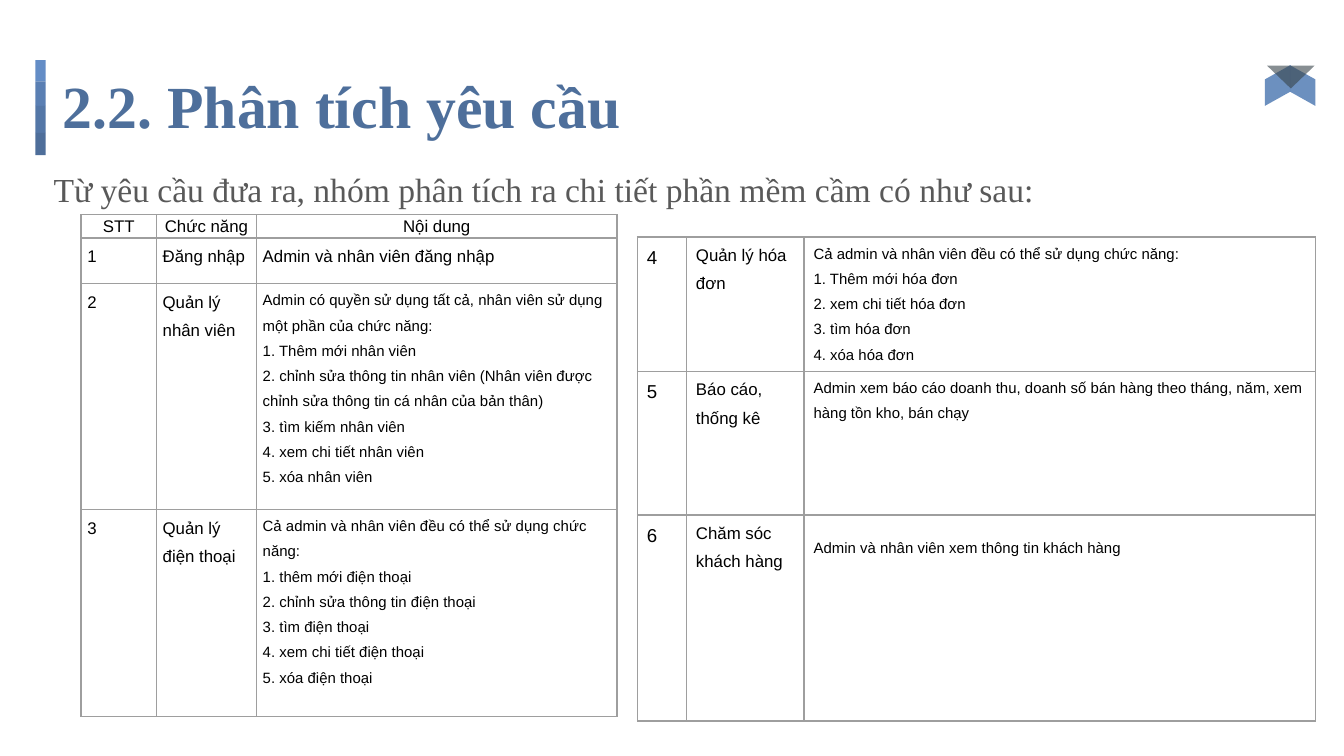
from lxml.etree import SubElement
from pptx import Presentation
from pptx.dml.color import RGBColor
from pptx.enum.shapes import MSO_SHAPE
from pptx.enum.text import PP_ALIGN
from pptx.oxml.ns import qn
from pptx.util import Pt

TITLE_BLUE = RGBColor(0x4E, 0x6F, 0x9B)
GREY = RGBColor(0x59, 0x59, 0x59)
BLACK = RGBColor(0, 0, 0)
BORDER = RGBColor(0x9E, 0x9E, 0x9E)
WING = RGBColor(0x5E, 0x85, 0xB9)
FOLD = RGBColor(0x38, 0x44, 0x4A)

TITLE = "2.2. Phân tích yêu cầu"
INTRO = "Từ yêu cầu đưa ra, nhóm phân tích ra chi tiết phần mềm cầm có như sau:"

# Accent bar segments, top to bottom: height, colour
BAR_SEGMENTS = [
    (11.4, RGBColor(0x64, 0x8D, 0xC6)),
    (13.2, RGBColor(0x5A, 0x7F, 0xB3)),
    (14.4, RGBColor(0x54, 0x77, 0xA7)),
    (12, RGBColor(0x4E, 0x6E, 0x9A)),
]

# Each cell is a list of paragraphs
STAFF_TABLE = {
    "origin": (43.4, 115), "columns": (40.4, 53.6, 193.2),
    "rows": (12, 24.6, 121, 111), "margin": 3.4, "sizes": (9, 9, 8),
    "header": True, "lead": {}, "large": {(1, 2): 9},
    "cells": [
        [["STT"], ["Chức năng"], ["Nội dung"]],
        [["1"], ["Đăng nhập"], ["Admin và nhân viên đăng nhập"]],
        [["2"], ["Quản lý nhân viên"], [
            "Admin có quyền sử dụng tất cả, nhân viên sử dụng một phần của chức năng:",
            "1. Thêm mới nhân viên",
            "2. chỉnh sửa thông tin nhân viên (Nhân viên được chỉnh sửa "
            "thông tin cá nhân của bản thân)",
            "3. tìm kiếm nhân viên",
            "4. xem chi tiết nhân viên",
            "5. xóa nhân viên"]],
        [["3"], ["Quản lý điện thoại"], [
            "Cả admin và nhân viên đều có thể sử dụng chức năng:",
            "1. thêm mới điện thoại",
            "2. chỉnh sửa thông tin điện thoại",
            "3. tìm điện thoại",
            "4. xem chi tiết điện thoại",
            "5. xóa điện thoại"]],
    ],
}
INVOICE_TABLE = {
    "origin": (341.5, 127), "columns": (26.3, 63, 274),
    "rows": (68.8, 77, 110.4), "margin": 5.1, "sizes": (10, 9, 8),
    "header": False, "lead": {(2, 2): 8.6}, "large": {},
    "cells": [
        [["4"], ["Quản lý hóa đơn"], [
            "Cả admin và nhân viên đều có thể sử dụng chức năng:",
            "1. Thêm mới hóa đơn",
            "2. xem chi tiết hóa đơn",
            "3. tìm hóa đơn",
            "4. xóa hóa đơn"]],
        [["5"], ["Báo cáo, thống kê"], [
            "Admin xem báo cáo doanh thu, doanh số bán hàng theo tháng, năm, "
            "xem hàng tồn kho, bán chạy"]],
        [["6"], ["Chăm sóc khách hàng"], ["Admin và nhân viên xem thông tin khách hàng"]],
    ],
}


def add_span(para, text, font, size, colour, bold=False):
    span = para.add_run()
    span.text = text
    span.font.name = font
    span.font.size = Pt(size)
    span.font.color.rgb = colour
    span.font.bold = bold


def add_heading(page, place, text, size, colour, spacing, bold=False):
    box = page.shapes.add_textbox(*map(Pt, place))
    frame = box.text_frame
    frame.word_wrap = True
    frame.margin_left = frame.margin_right = frame.margin_bottom = Pt(7.2)
    frame.margin_top = Pt(9.7)
    para = frame.paragraphs[0]
    para.line_spacing = spacing
    add_span(para, text, "Times New Roman", size, colour, bold)


def add_plain_shape(page, kind, place, colour, opacity=100, turn=0):
    shape = page.shapes.add_shape(kind, *map(Pt, place))
    shape.shadow.inherit = False
    shape.fill.solid()
    shape.fill.fore_color.rgb = colour
    shape.line.fill.background()
    shape.rotation = turn
    if opacity < 100:
        tint = shape.fill._xPr.find(qn("a:solidFill"))[0]
        SubElement(tint, qn("a:alpha")).set("val", str(opacity * 1000))
    return shape


def add_ribbon(page):
    for left, mirrored in ((686.9, False), (673.6, True)):
        wing = add_plain_shape(page, MSO_SHAPE.PARALLELOGRAM,
                               (left, 39, 21.8, 13.6), WING, 91, 90)
        wing.adjustments[0] = 0.56
        if mirrored:
            wing._element.spPr.find(qn("a:xfrm")).set("flipH", "1")
    add_plain_shape(page, MSO_SHAPE.ISOSCELES_TRIANGLE,
                    (678.8, 35.2, 25.4, 12.2), FOLD, 60, 180)


def add_borders(cell):
    properties = cell._tc.get_or_add_tcPr()
    for side in ("lnL", "lnR", "lnT", "lnB"):
        line = SubElement(properties, qn("a:" + side), w=str(Pt(0.75)))
        fill = SubElement(line, qn("a:solidFill"))
        SubElement(fill, qn("a:srgbClr"), val=str(BORDER))


def add_function_table(page, data):
    columns, rows = data["columns"], data["rows"]
    place = (*data["origin"], sum(columns), sum(rows))
    table = page.shapes.add_table(len(rows), len(columns), *map(Pt, place)).table
    table.first_row = table.horz_banding = False
    for column, width in zip(table.columns, columns):
        column.width = Pt(width)
    for r, (row, height) in enumerate(zip(table.rows, rows)):
        row.height = Pt(height)
        is_header = data["header"] and r == 0
        for c, cell in enumerate(row.cells):
            add_borders(cell)
            cell.fill.background()
            cell.margin_left = cell.margin_right = Pt(data["margin"])
            cell.margin_top = Pt(data["lead"].get((r, c), 0))
            cell.margin_bottom = 0
            size = 9 if is_header else data["large"].get((r, c), data["sizes"][c])
            for i, text in enumerate(data["cells"][r][c]):
                frame = cell.text_frame
                para = frame.add_paragraph() if i else frame.paragraphs[0]
                para.line_spacing = 1.15 if is_header else 1.5
                para.alignment = PP_ALIGN.CENTER if is_header else PP_ALIGN.LEFT
                add_span(para, text, "Arial", size, BLACK)


def main():
    deck = Presentation()
    deck.slide_width, deck.slide_height = Pt(720), Pt(405)
    page = deck.slides.add_slide(deck.slide_layouts[6])
    top = 32.2
    for height, colour in BAR_SEGMENTS:
        add_plain_shape(page, MSO_SHAPE.RECTANGLE, (19, top, 5.5, height), colour)
        top += height
    add_heading(page, (26.6, 24.5, 666, 45.4), TITLE, 32, TITLE_BLUE, 1.07, True)
    add_heading(page, (21.6, 69.8, 550.8, 45.4), INTRO, 18, GREY, 1.5)
    add_ribbon(page)
    for data in (STAFF_TABLE, INVOICE_TABLE):
        add_function_table(page, data)
    deck.save("out.pptx")


if __name__ == "__main__":
    main()
